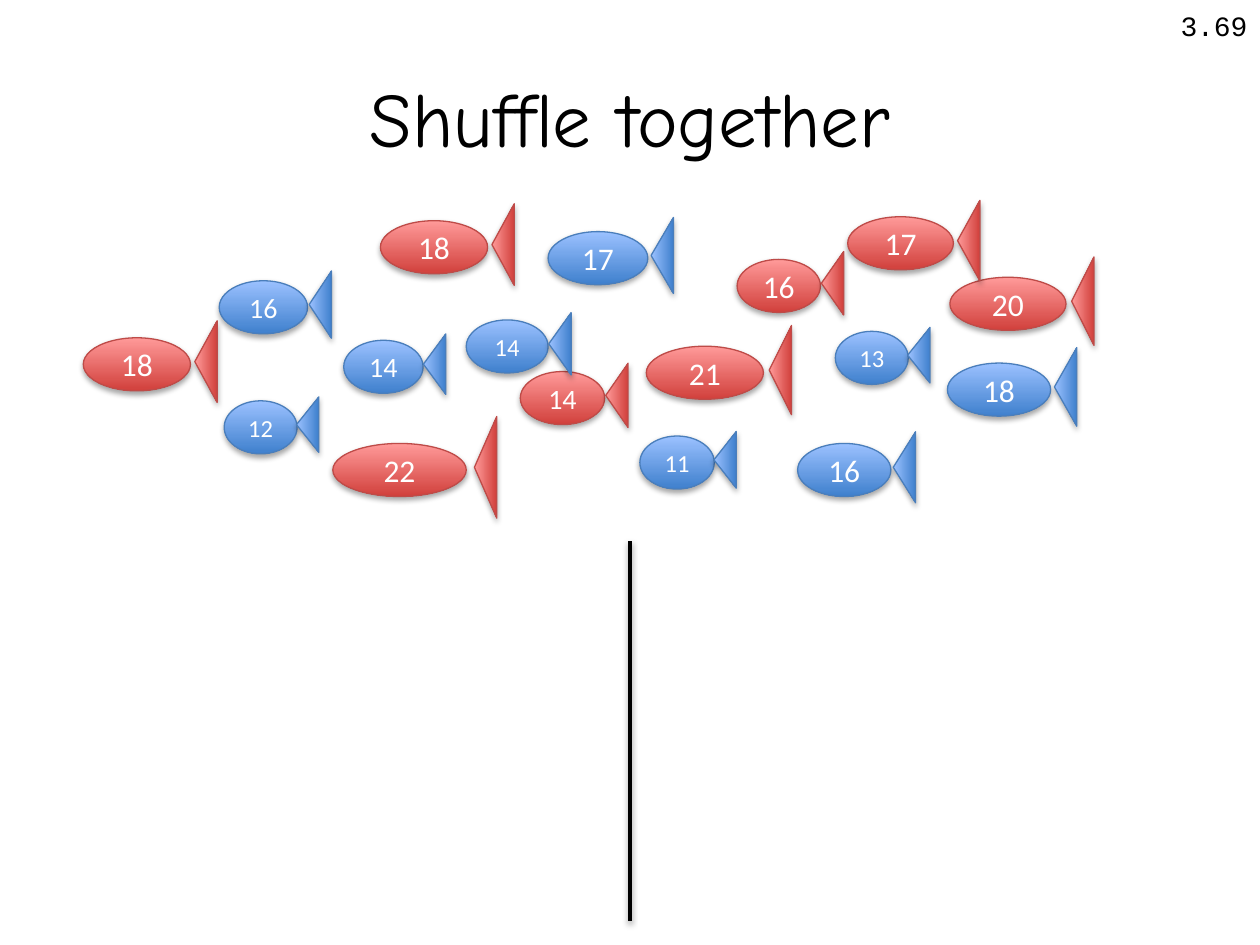
from lxml.etree import SubElement
from pptx import Presentation
from pptx.dml.color import RGBColor
from pptx.enum.shapes import MSO_CONNECTOR, MSO_SHAPE
from pptx.enum.text import MSO_ANCHOR, MSO_AUTO_SIZE, PP_ALIGN
from pptx.oxml.ns import qn
from pptx.util import Cm, Pt

COLORS = {"black": "000000", "white": "FFFFFF"}
FISH_COLORS = {
    "blue": {"light": "9BC1FF", "dark": "3F80CD", "outline": "4A7EBB"},
    "red": {"light": "FF9A99", "dark": "D1403C", "outline": "BE4B48"},
}
FISH = [
    ("12", "blue", 4.52, 8.08, 1.47, 14),
    ("17", "blue", 11.05, 4.67, 2.01, 18),
    ("14", "blue", 6.93, 6.86, 1.6, 16),
    ("21", "red", 13.03, 6.98, 2.36, 18),
    ("16", "red", 14.86, 5.23, 1.68, 18),
    ("18", "red", 1.68, 6.81, 2.16, 18),
    ("13", "blue", 16.84, 6.68, 1.47, 14),
    ("18", "blue", 19.1, 7.32, 2.08, 18),
    ("11", "blue", 12.9, 8.79, 1.5, 14),
    ("14", "red", 10.49, 7.49, 1.7, 16),
    ("20", "red", 19.15, 5.59, 2.34, 18),
    ("22", "red", 6.71, 8.94, 2.69, 18),
    ("14", "blue", 9.4, 6.45, 1.65, 14),
    ("16", "blue", 16.08, 8.94, 1.88, 18),
    ("16", "blue", 4.42, 5.66, 1.78, 16),
    ("17", "red", 17.09, 4.37, 2.13, 18),
    ("18", "red", 7.67, 4.45, 2.16, 18),
]
BODY_HEIGHT = 1.07
TAIL_SPAN, TAIL_DEPTH = 1.27, 0.45
TAIL_MIDDLE = 0.48


def set_text(shape, text, font_format, color, alignment):
    """Write one formatted paragraph into a shape."""
    paragraph = shape.text_frame.paragraphs[0]
    paragraph.alignment = alignment
    run = paragraph.add_run()
    run.text = text
    for name, value in font_format.items():
        setattr(run.font, name, value)
    run.font.color.rgb = RGBColor.from_string(color)


def set_outline(shape, color, width):
    """Give a shape or connector a solid line."""
    shape.line.color.rgb = RGBColor.from_string(color)
    shape.line.width = Pt(width)


def add_shadow(shape, distance, opacity):
    """Cast a soft black shadow straight down."""
    effects = SubElement(shape._element.spPr, qn("a:effectLst"))
    shadow = SubElement(effects, qn("a:outerShdw"), blurRad="40000",
                        dist=str(distance), dir="5400000", rotWithShape="0")
    color = SubElement(shadow, qn("a:srgbClr"), val=COLORS["black"])
    SubElement(color, qn("a:alpha"), val=str(opacity * 1000))


def add_fish_part(group, kind, box, palette):
    """Add a shaded body or tail to a fish."""
    shape = group.shapes.add_shape(kind, *(Cm(length) for length in box))
    shape.fill.gradient()
    shape.fill.gradient_angle = 270
    for stop, tone in zip(shape.fill.gradient_stops, ("light", "dark")):
        stop.color.rgb = RGBColor.from_string(palette[tone])
    set_outline(shape, palette["outline"], 0.75)
    add_shadow(shape, 23000, 35)
    return shape


def add_fish(slide, number, color, left, top, width, size):
    """Add a numbered fish, stretched in height in step with its length."""
    stretch = 0.6 * width
    group = slide.shapes.add_group_shape()
    body_box = (left, top / stretch, width, BODY_HEIGHT / stretch)
    tail_box = (left + 1.145 * width - TAIL_SPAN / 2,
                (top + TAIL_MIDDLE) / stretch - TAIL_DEPTH / 2, TAIL_SPAN, TAIL_DEPTH)
    body = add_fish_part(group, MSO_SHAPE.OVAL, body_box, FISH_COLORS[color])
    tail = add_fish_part(group, MSO_SHAPE.ISOSCELES_TRIANGLE, tail_box, FISH_COLORS[color])
    tail.rotation = 270
    body.text_frame.vertical_anchor = MSO_ANCHOR.MIDDLE
    set_text(body, number, {"name": "Calibri", "size": Pt(size)},
             COLORS["white"], PP_ALIGN.CENTER)
    group.top, group.height = int(group.top * stretch), int(group.height * stretch)


def add_title(slide, text):
    """Place and format the title."""
    title = slide.shapes.title
    box = {"left": Cm(1.27), "top": Cm(0.76), "width": Cm(22.86), "height": Cm(3.18)}
    for name, value in box.items():
        setattr(title, name, value)
    title.text_frame.vertical_anchor = MSO_ANCHOR.MIDDLE
    set_text(title, text, {"name": "Comic Neue", "size": Pt(44)},
             COLORS["black"], PP_ALIGN.CENTER)


def add_page_label(slide, text):
    """Add the page label in the top right corner."""
    label = slide.shapes.add_textbox(Cm(23.52), Cm(0.05), Cm(1.88), Cm(0.94))
    label.text_frame.word_wrap = False
    label.text_frame.auto_size = MSO_AUTO_SIZE.SHAPE_TO_FIT_TEXT
    set_text(label, text, {"name": "Courier New", "size": Pt(16)},
             COLORS["black"], PP_ALIGN.RIGHT)


def add_divider(slide):
    """Add the vertical line between the lower halves."""
    divider = slide.shapes.add_connector(
        MSO_CONNECTOR.STRAIGHT, Cm(12.7), Cm(18.57), Cm(12.7), Cm(10.9))
    set_outline(divider, COLORS["black"], 2)
    add_shadow(divider, 20000, 38)


def main():
    """Build and save the slide."""
    presentation = Presentation()
    presentation.slide_width, presentation.slide_height = Cm(25.4), Cm(19.05)
    slide = presentation.slides.add_slide(presentation.slide_layouts[5])
    add_title(slide, "Shuffle together")
    for fish in FISH:
        add_fish(slide, *fish)
    add_page_label(slide, "3.69")
    add_divider(slide)
    presentation.save("out.pptx")


if __name__ == "__main__":
    main()
